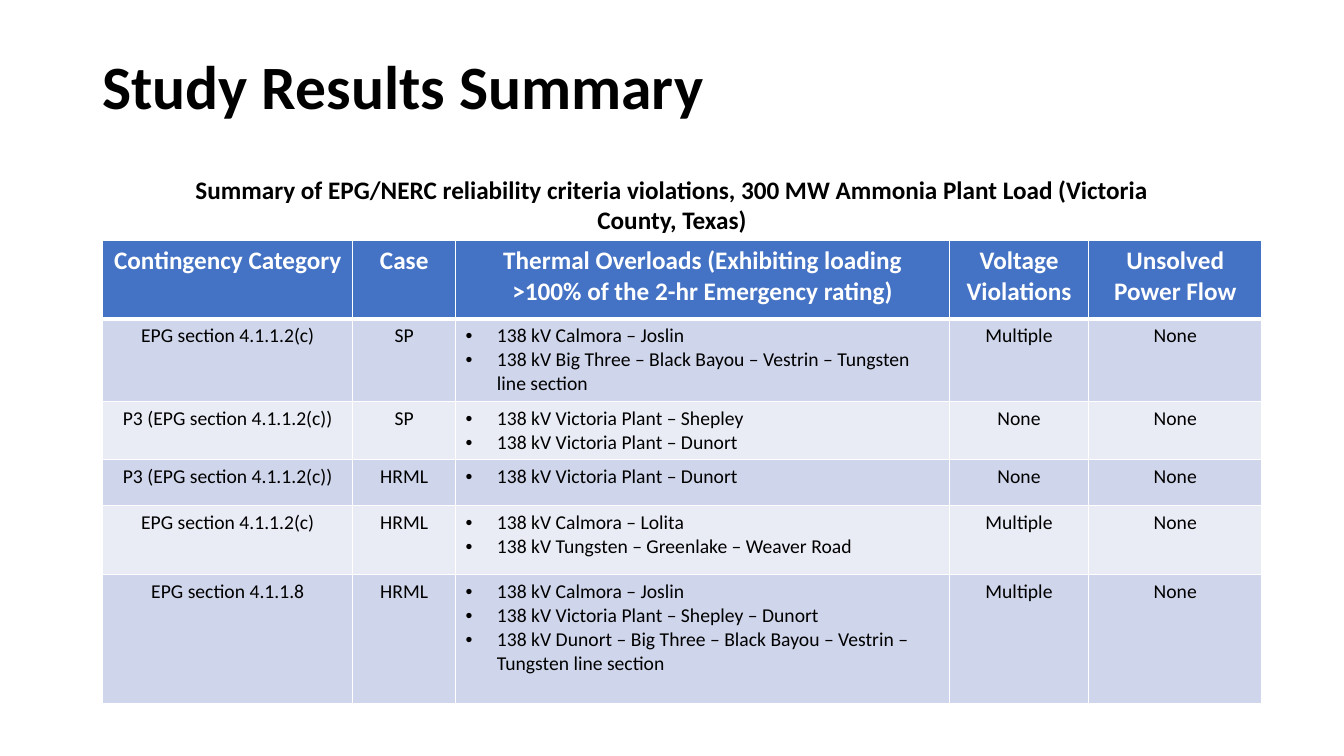
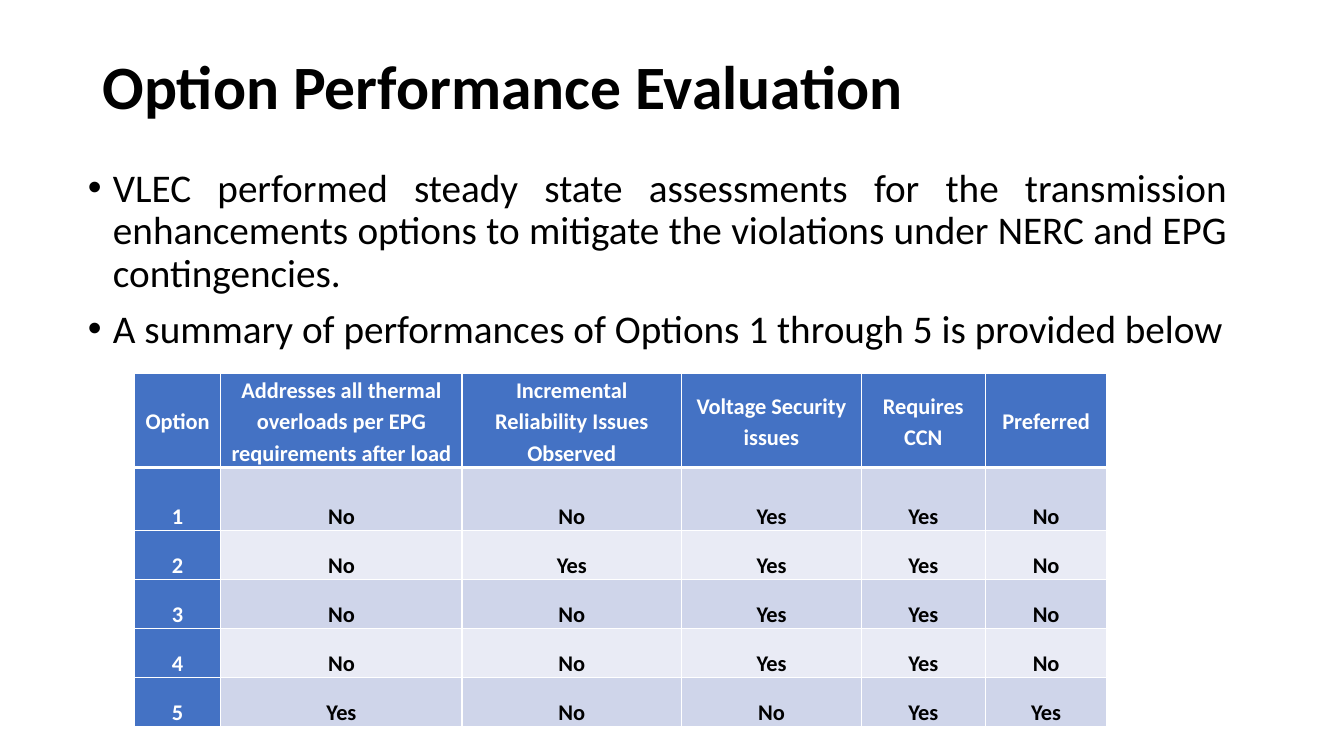
from lxml import etree
from pptx import Presentation
from pptx.dml.color import RGBColor
from pptx.enum.text import MSO_ANCHOR, MSO_AUTO_SIZE, PP_ALIGN
from pptx.oxml.ns import qn
from pptx.util import Inches, Pt

LEFT, MID, JUST = PP_ALIGN.LEFT, PP_ALIGN.CENTER, PP_ALIGN.JUSTIFY
TOP, CENTER, BASE = MSO_ANCHOR.TOP, MSO_ANCHOR.MIDDLE, MSO_ANCHOR.BOTTOM
FIXED = MSO_AUTO_SIZE.NONE

WIDE, HIGH = 13.33, 7.5
COLS, ROWS = 160, 90
FONT = "Calibri"
BLACK, WHITE, BLUE = "000000", "FFFFFF", "4472C4"
BANDS = ("CFD5EA", "E9EBF5")
TITLE_AT = (11, 4.8, 138, 11.65)

FAULTS = [
    ["Contingency Category", "Case",
     "Thermal Overloads (Exhibiting loading >100% of the 2-hr Emergency rating)",
     "Voltage Violations", "Unsolved Power Flow"],
    ["EPG section 4.1.1.2(c)", "SP",
     ["138 kV Calmora – Joslin",
      "138 kV Big Three – Black Bayou – Vestrin – Tungsten line section"],
     "Multiple", "None"],
    ["P3 (EPG section 4.1.1.2(c))", "SP",
     ["138 kV Victoria Plant – Shepley", "138 kV Victoria Plant – Dunort"],
     "None", "None"],
    ["P3 (EPG section 4.1.1.2(c))", "HRML",
     ["138 kV Victoria Plant – Dunort"], "None", "None"],
    ["EPG section 4.1.1.2(c)", "HRML",
     ["138 kV Calmora – Lolita", "138 kV Tungsten – Greenlake – Weaver Road"],
     "Multiple", "None"],
    ["EPG section 4.1.1.8", "HRML",
     ["138 kV Calmora – Joslin", "138 kV Victoria Plant – Shepley – Dunort",
      "138 kV Dunort – Big Three – Black Bayou – Vestrin – Tungsten line section"],
     "Multiple", "None"],
]

CHOICES = [
    ["Option", "Addresses all thermal overloads per EPG requirements after load",
     "Incremental Reliability Issues Observed", "Voltage Security issues",
     "Requires CCN", "Preferred"],
    ["1", "No", "No", "Yes", "Yes", "No"],
    ["2", "No", "Yes", "Yes", "Yes", "No"],
    ["3", "No", "No", "Yes", "Yes", "No"],
    ["4", "No", "No", "Yes", "Yes", "No"],
    ["5", "Yes", "No", "No", "Yes", "Yes"],
]

POINTS = [
    "VLEC performed steady state assessments for the transmission enhancements "
    "options to mitigate the violations under NERC and EPG contingencies.",
    "A summary of performances of Options 1 through 5 is provided below",
]


def across(cols):
    """Return the width of a number of grid columns."""
    return Inches(WIDE * cols / COLS)


def down(rows):
    """Return the height of a number of grid rows."""
    return Inches(HIGH * rows / ROWS)


def area(left, top, wide, high):
    """Turn grid units into slide lengths."""
    return across(left), down(top), across(wide), down(high)


def paint(color):
    """Turn a hex string into a colour."""
    return RGBColor.from_string(color)


def place(shape, at):
    """Move a placeholder to a grid area."""
    shape.left, shape.top, shape.width, shape.height = area(*at)


def bullet(para, indent):
    """Give a paragraph a hanging round bullet."""
    props = para._p.get_or_add_pPr()
    props.set("marL", str(Inches(indent)))
    props.set("indent", str(-Inches(indent)))
    etree.SubElement(props, qn("a:buFont")).set("typeface", "Arial")
    etree.SubElement(props, qn("a:buChar")).set("char", "•")


def write(frame, lines, size, color=BLACK, bold=False, align=LEFT,
          indent=0, space=None, gap=0, after=0):
    """Fill a text frame with one paragraph per line."""
    for i, line in enumerate(lines):
        para = frame.add_paragraph() if i else frame.paragraphs[0]
        if indent:
            bullet(para, indent)
        para.alignment = align
        para.line_spacing = space
        para.space_before = Pt(gap if i else 0)
        para.space_after = Pt(after)
        run = para.add_run()
        run.text = line
        font = run.font
        font.name, font.size, font.bold = FONT, Pt(size), bold
        font.color.rgb = paint(color)


def edge(cell, side, width):
    """Draw one white border of a cell."""
    line = etree.SubElement(cell._tc.get_or_add_tcPr(), qn("a:ln" + side))
    line.set("w", str(Pt(width)))
    fill = etree.SubElement(line, qn("a:solidFill"))
    etree.SubElement(fill, qn("a:srgbClr")).set("val", WHITE)


def style(cell, row, fill):
    """Set the borders and fill of a cell."""
    for side in "LRTB":
        thick = (row, side) in ((0, "B"), (1, "T"))
        edge(cell, side, 3 if thick else 1)
    cell.fill.solid()
    cell.fill.fore_color.rgb = paint(fill)


def table(slide, left, top, cols, rows, data, sizes, side=False, tight=False):
    """Add a banded table, with a blue first column if side is set."""
    at = area(left, top, sum(cols), sum(rows))
    grid = slide.shapes.add_table(len(rows), len(cols), *at).table
    for col, wide in zip(grid.columns, cols):
        col.width = across(wide)
    for row, high in zip(grid.rows, rows):
        row.height = down(high)
    for r, values in enumerate(data):
        for c, value in enumerate(values):
            cell = grid.cell(r, c)
            head = r == 0 or (side and c == 0)
            style(cell, r, BLUE if head else BANDS[(r - 1) % 2])
            look = {"color": WHITE if head else BLACK,
                    "bold": head or tight, "align": MID}
            if tight:
                cell.margin_left = cell.margin_right = Inches(0.07)
                cell.margin_top = cell.margin_bottom = 0
                cell.vertical_anchor = BASE if r else CENTER
                look.update(space=1.15, after=10)
            listed = isinstance(value, list)
            if listed:
                look.update(align=LEFT, indent=0.31)
            write(cell.text_frame, value if listed else [value],
                  sizes[min(r, 1)], **look)


def start(deck, layout, title):
    """Add a slide with its styled title."""
    slide = deck.slides.add_slide(deck.slide_layouts[layout])
    shape = slide.shapes.title
    place(shape, TITLE_AT)
    frame = shape.text_frame
    frame.auto_size, frame.vertical_anchor = FIXED, CENTER
    write(frame, [title], 44, bold=True, space=0.9)
    return slide


def label(slide, at, text):
    """Add a bold centred caption."""
    frame = slide.shapes.add_textbox(*area(*at)).text_frame
    frame.word_wrap = True
    write(frame, [text], 18, bold=True, align=MID)


def body(slide, at, lines):
    """Fill the body placeholder with a justified list."""
    shape = slide.placeholders[1]
    place(shape, at)
    frame = shape.text_frame
    frame.auto_size, frame.vertical_anchor = FIXED, TOP
    write(frame, lines, 28, align=JUST, indent=0.25, space=0.9, gap=10)


def results(deck):
    """Build the slide of study results."""
    slide = start(deck, 5, "Study Results Summary")
    table(slide, 12.25, 28.6, (29.75, 12.25, 58.8, 16.55, 20.65),
          (9.4, 9.8, 6.85, 5.5, 8.25, 15.35), FAULTS, (18, 14))
    label(slide, (21, 20.15, 118, 8.5),
          "Summary of EPG/NERC reliability criteria violations, "
          "300 MW Ammonia Plant Load (Victoria County, Texas)")


def options(deck):
    """Build the slide that compares the options."""
    slide = start(deck, 1, "Option Performance Evaluation")
    body(slide, (9.25, 19.45, 138, 26.65), POINTS)
    table(slide, 16, 44.4, (10.3, 28.7, 26.15, 21.4, 14.75, 14.5),
          (11.2, 7.5) + (5.85,) * 4, CHOICES, (16, 16), side=True, tight=True)


def main():
    """Build and save the deck."""
    deck = Presentation()
    deck.slide_width, deck.slide_height = Inches(WIDE), Inches(HIGH)
    results(deck)
    options(deck)
    deck.save("out.pptx")


if __name__ == "__main__":
    main()
